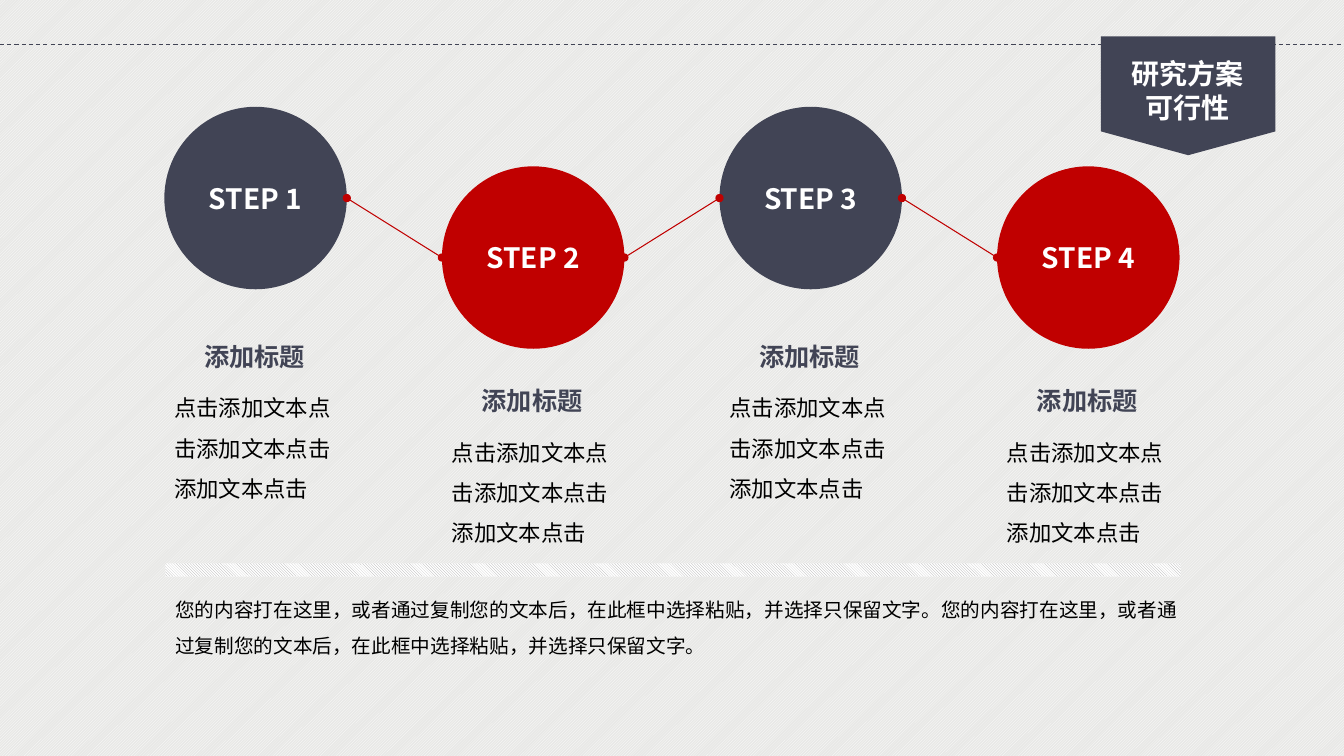
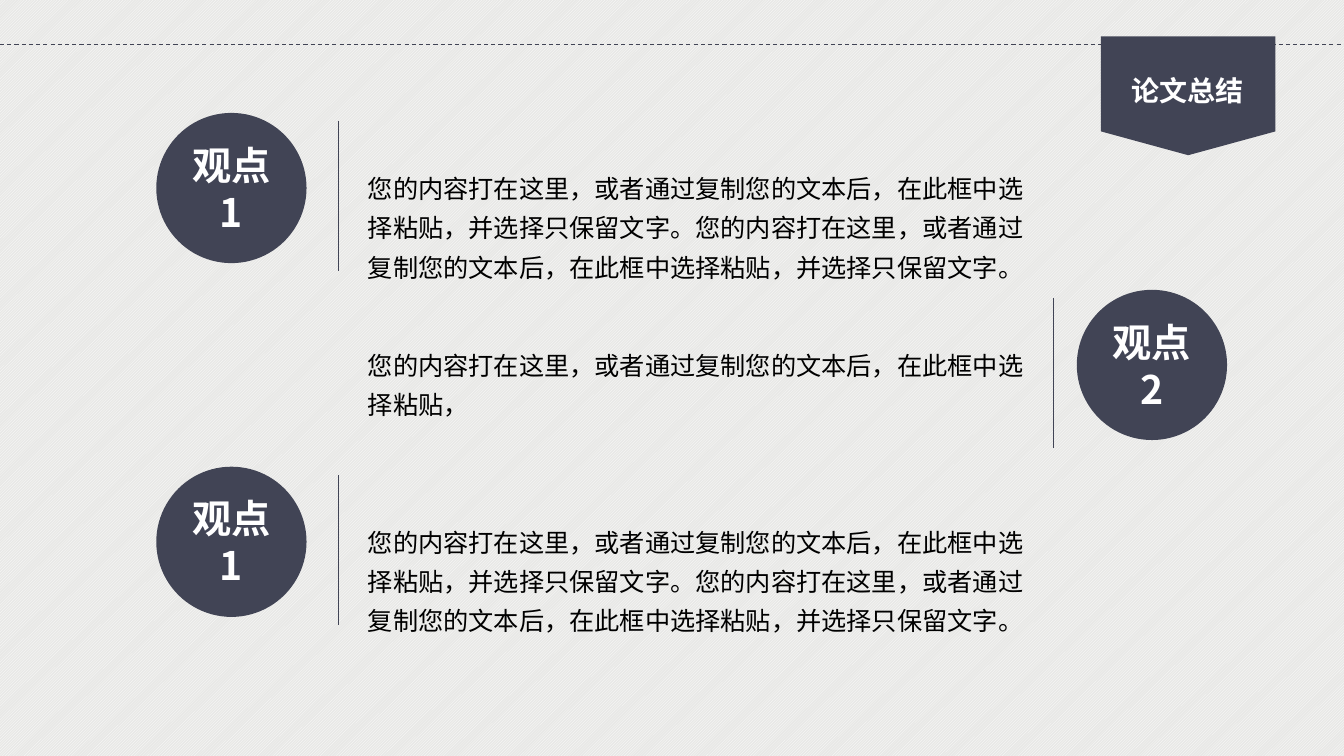
from lxml import etree
from pptx import Presentation
from pptx.dml.color import RGBColor
from pptx.enum import dml, shapes, text
from pptx.oxml.ns import qn
from pptx.util import Inches, Pt

# Content
PASTE = "您的内容打在这里，或者通过复制您的文本后，在此框中选择粘贴，"
PARAGRAPH = (PASTE + "并选择只保留文字。") * 2
STEP_TITLE = "添加标题"
STEP_BODY = "点击添加文本点击添加文本点击添加文本点击"
STEPS = [(f"STEP {number}", STEP_TITLE, STEP_BODY) for number in range(1, 5)]
# Label, text, side of the circle
VIEWS = [("观点1", PARAGRAPH, "left"), ("观点2", PASTE, "right"), ("观点1", PARAGRAPH, "left")]

# Shared style
FONT = "Noto Sans CJK SC"
NAVY, RED, WHITE, BLACK = "414455", "C00000", "FFFFFF", "000000"
PAPER, GREY = "E8E8E6", "A6A6A6"
WIDTH, HEIGHT = 13.33, 7.5
CENTER, LEFT = text.PP_ALIGN.CENTER, text.PP_ALIGN.LEFT
MIDDLE, TOP = text.MSO_ANCHOR.MIDDLE, text.MSO_ANCHOR.TOP


def color(value):
    return RGBColor.from_string(value)


def set_pattern(fill, pattern, front, back):
    fill.patterned()
    fill.pattern = pattern
    fill.fore_color.rgb = color(front)
    fill.back_color.rgb = color(back)


def write(shape, words, size, tint, bold=False, align=LEFT, anchor=TOP, spacing=None):
    frame = shape.text_frame
    frame.text = words
    frame.word_wrap = True
    frame.vertical_anchor = anchor
    for para in frame.paragraphs:
        para.alignment = align
        para.line_spacing = spacing
        for span in para.runs:
            span.font.size, span.font.bold = Pt(size), bold
            span.font.name = FONT
            span.font.color.rgb = color(tint)
            east_asian = etree.SubElement(span.font._element, qn("a:ea"))
            east_asian.set("typeface", FONT)


def add_text(slide, x, y, w, h, words, size, tint=BLACK, **style):
    box = slide.shapes.add_textbox(Inches(x), Inches(y), Inches(w), Inches(h))
    write(box, words, size, tint, **style)
    box.text_frame.auto_size = text.MSO_AUTO_SIZE.SHAPE_TO_FIT_TEXT
    return box


def add_shape(slide, kind, x, y, w, h, tint):
    shape = slide.shapes.add_shape(kind, Inches(x), Inches(y), Inches(w), Inches(h))
    shape.shadow.inherit = False
    shape.fill.solid()
    shape.fill.fore_color.rgb = color(tint)
    shape.line.fill.background()
    return shape


def add_circle(slide, x, y, size, tint, label, label_size):
    circle = add_shape(slide, shapes.MSO_SHAPE.OVAL, x, y, size, size, tint)
    write(circle, label, label_size, WHITE, bold=True, align=CENTER, anchor=MIDDLE)


def add_line(slide, x1, y1, x2, y2, tint, dashed=False, dots=False):
    line = slide.shapes.add_connector(
        shapes.MSO_CONNECTOR.STRAIGHT, Inches(x1), Inches(y1), Inches(x2), Inches(y2))
    line.line.color.rgb = color(tint)
    line.line.width = Pt(0.75)
    if dashed:
        line.line.dash_style = dml.MSO_LINE.DASH
    if dots:
        outline = line.line._get_or_add_ln()
        for end in ("a:headEnd", "a:tailEnd"):
            etree.SubElement(outline, qn(end)).set("type", "oval")
    etree.SubElement(line._element.spPr, qn("a:effectLst"))


def add_page(deck, title):
    """Striped background, dashed rule and title tag."""
    page = deck.slides.add_slide(deck.slide_layouts[6])
    set_pattern(page.background.fill, dml.MSO_PATTERN.LIGHT_UPWARD_DIAGONAL, WHITE, PAPER)
    add_line(page, 0, 0.44, WIDTH, 0.44, NAVY, dashed=True)
    add_shape(page, shapes.MSO_SHAPE.FLOWCHART_OFFPAGE_CONNECTOR,
              10.92, 0.36, 1.73, 1.18, NAVY)
    height = 0.1 + 0.335 * len(title.split("\n"))
    box = add_text(page, 11.12, 0.9 - height / 2, 1.32, height, title, 20, WHITE,
                   bold=True, align=CENTER)
    box.text_frame.word_wrap = False
    return page


def build_steps(deck):
    page = add_page(deck, "研究方案\n可行性")
    size, left, pitch = 1.81, 1.63, 2.753
    tops, title_tops, tints = (1.06, 1.65), (3.21, 3.65), (NAVY, RED)

    # Circles with their captions, alternately high and low
    for index, (label, title, body) in enumerate(STEPS):
        x, low = left + index * pitch, index % 2
        add_circle(page, x, tops[low], size, tints[low], label, 20)
        add_text(page, x, title_tops[low], 1.79, 0.5, title, 18, NAVY,
                 bold=True, align=CENTER, anchor=MIDDLE, spacing=1.5)
        add_text(page, x, title_tops[low] + 0.52, 1.79, 1.31, body, 16, spacing=1.5)

    # Links between neighbouring circles
    for index in range(len(STEPS) - 1):
        x, low = left + index * pitch, index % 2
        add_line(page, x + size, tops[low] + size / 2,
                 x + pitch, tops[1 - low] + size / 2, RED, dots=True)

    # Closing text under a hatched band
    add_text(page, 1.64, 5.77, 10.23, 0.77, PARAGRAPH, 14, spacing=1.5)
    band = add_shape(page, shapes.MSO_SHAPE.RECTANGLE, 1.64, 5.59, 10.07, 0.13, WHITE)
    set_pattern(band.fill, dml.MSO_PATTERN.DARK_DOWNWARD_DIAGONAL, GREY, WHITE)


def build_summary(deck):
    page = add_page(deck, "论文总结")
    size, top, pitch = 1.49, 1.12, 1.755
    columns = {"left": (1.55, 3.36), "right": (10.68, 10.45)}  # circle, divider
    for index, (label, words, side) in enumerate(VIEWS):
        circle_x, divider_x = columns[side]
        y = top + index * pitch
        add_circle(page, circle_x, y, size, NAVY, label, 28)
        add_text(page, 3.55, y + 0.46, 6.89, 1.28, words, 18, spacing=1.3)
        add_line(page, divider_x, y + 0.08, divider_x, y + 0.08 + size, NAVY)


def main():
    deck = Presentation()
    deck.slide_width, deck.slide_height = Inches(WIDTH), Inches(HEIGHT)
    build_steps(deck)
    build_summary(deck)
    deck.save("out.pptx")


if __name__ == "__main__":
    main()
